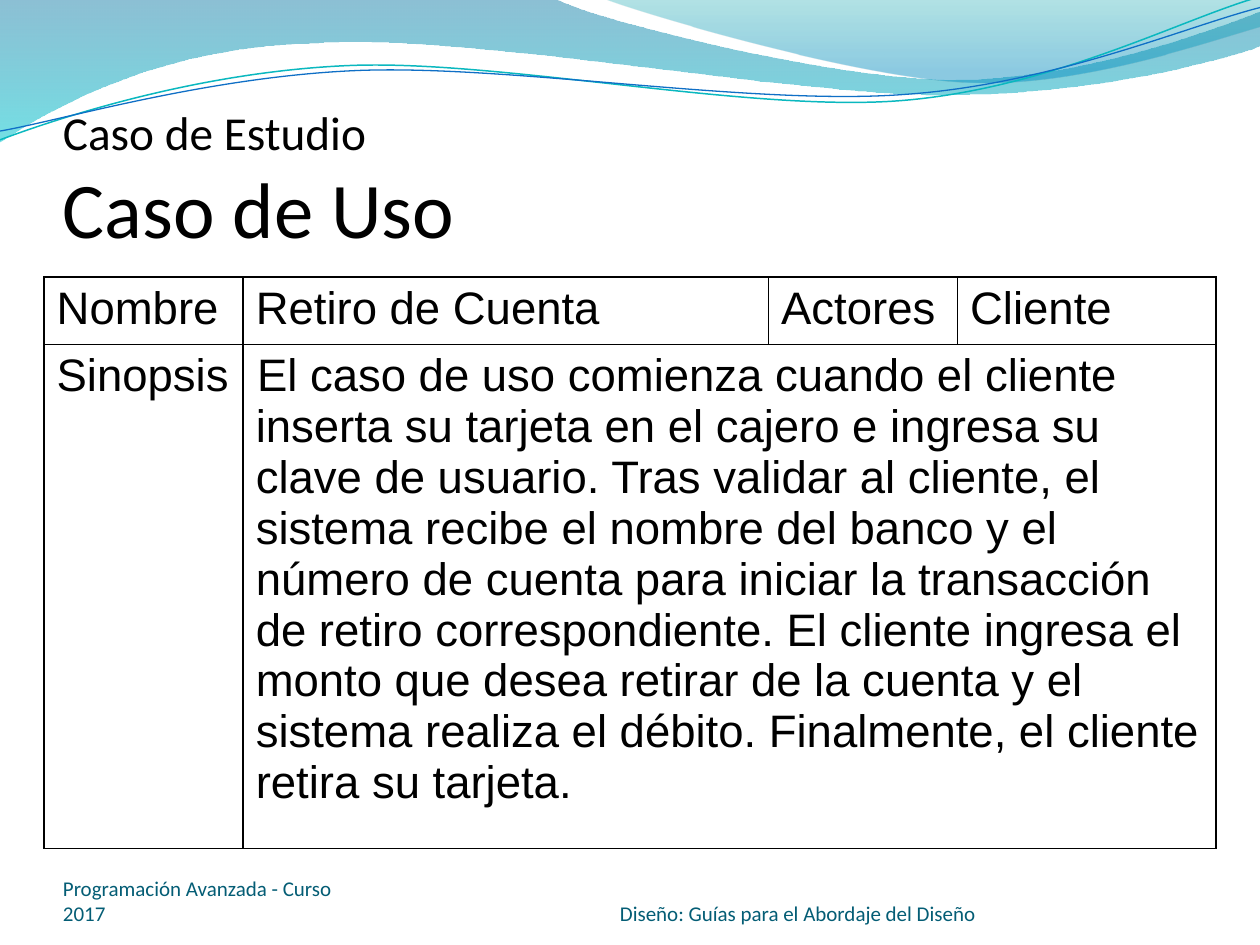
"""Build the use case slide with its wave header and table."""
from math import cos, radians, sin
from lxml.etree import SubElement
from pptx import Presentation
from pptx.dml.color import RGBColor
from pptx.enum.text import MSO_ANCHOR
from pptx.oxml.ns import qn
from pptx.util import Inches, Pt

COLORS = {"text": "000000", "footer": "045D75", "blue": "0F6FC6", "teal": "0AB8BF",
          "wave_top": "0074A1", "wave_end": "00C6CF", "light_top": "00A1A9", "light_end": "008BBF"}


def add_text(p, text, size, font="Calibri", color="text"):
    r = p.add_run()
    r.text = text
    r.font.name, r.font.size = font, Pt(size)
    r.font.color.rgb = RGBColor.from_string(COLORS[color])


def add_outline(kinds, points, closed):
    points = [(Inches(x), Inches(y)) for x, y in points]
    fb = s.shapes.build_freeform(*points[0], scale=1.0)
    fb.add_line_segments(points[1:], close=closed)
    shape = fb.convert_to_shape()
    shape.shadow.inherit = False
    lines = iter(list(shape._element.iter(qn("a:lnTo"))))
    for kind in kinds:
        line = next(lines)
        if kind == "C":
            bezier = line.makeelement(qn("a:cubicBezTo"))
            line.addprevious(bezier)
            for part in (line, next(lines), next(lines)):
                bezier.append(part[0])
                part.getparent().remove(part)
    return shape


prs = Presentation()
prs.slide_width, prs.slide_height = Inches(10), Inches(7.5)
s = prs.slides.add_slide(prs.slide_layouts[6])

waves = [
    ("LCCLCCC",
     [(0, 0), (4.4, -0.01), (4.76, 0.17), (6.64, 0.63), (7.58, 0.63), (8.53, 0.63), (9.58, 0.26),
      (10, 0.09), (10.01, 0.36), (9.83, 0.44), (8.7, 0.76), (7.46, 0.75), (6.22, 0.75), (3.82, 0.28),
      (2.57, 0.34), (1.29, 0.36), (0.46, 0.83), (-0.01, 1.13)],
     [(0, "wave_top", 45), (1, "wave_end", 55)]),
    ("CCL",
     [(4.79, -0.01), (5.09, 0.11), (6.82, 0.62), (7.69, 0.65), (8.56, 0.69), (9.61, 0.32),
      (10, 0.21), (10, 0)],
     [(0, "light_top", 30), (0.8, "light_end", 45)]),
]
for kinds, points, stops in waves:
    wave = add_outline(kinds, points, True)
    wave.line.fill.background()
    wave.fill.gradient()
    wave.fill.gradient_angle = 270
    for stop, (position, color, _) in zip(wave.fill.gradient_stops, stops):
        stop.position = position
        stop.color.rgb = RGBColor.from_string(COLORS[color])
    for clr, (_, _, opacity) in zip(wave._element.spPr.iter(qn("a:srgbClr")), stops):
        SubElement(clr, qn("a:alpha"), val=str(opacity * 1000))

curves = [
    ([(0, 1.11), (0.48, 0.93), (1.58, 0.57), (2.77, 0.52), (3.95, 0.47), (5.93, 0.89), (7.13, 0.8),
      (8.33, 0.71), (9.38, 0.15), (9.98, -0.02)], "teal", 0.85),
    ([(0, 1.04), (0.47, 0.96), (1.64, 0.61), (2.83, 0.56), (4.03, 0.51), (5.97, 0.84), (7.17, 0.75),
      (8.36, 0.67), (9.41, 0.21), (10, 0.06)], "blue", 0.75),
]
tilt, cx, cy = radians(2.7), 4.99, 0.58
for points, color, width in curves:
    level = [(cx + (x - cx) * cos(tilt) - (y - cy) * sin(tilt),
              cy + (x - cx) * sin(tilt) + (y - cy) * cos(tilt)) for x, y in points]
    curve = add_outline("CCC", level, False)
    curve.rotation = 357.3
    curve.fill.background()
    curve.line.color.rgb = RGBColor.from_string(COLORS[color])
    curve.line.width = Pt(width)

boxes = [
    ((0.5, 0.77, 9, 1.25), [("Caso de Estudio", 27), ("Caso de Uso", 45)], "text", 0.05),
    ((0.5, 6.95, 2.33, 0.4), [("Programación Avanzada - Curso 2017", 12)], "footer", 0),
    ((4.92, 6.95, 3.67, 0.4), [("Diseño: Guías para el Abordaje del Diseño", 12)], "footer", 0),
]
for place, lines, color, top in boxes:
    tf = s.shapes.add_textbox(*map(Inches, place)).text_frame
    tf.word_wrap = True
    tf.vertical_anchor = MSO_ANCHOR.BOTTOM
    tf.margin_left = tf.margin_right = tf.margin_bottom = 0
    tf.margin_top = Inches(top)
    p = tf.paragraphs[0]
    for i, (text, size) in enumerate(lines):
        if i:
            p.add_line_break()
        add_text(p, text, size, color=color)

synopsis = (
    "El caso de uso comienza cuando el cliente inserta su tarjeta en el cajero e ingresa su clave de "
    "usuario. Tras validar al cliente, el sistema recibe el nombre del banco y el número de cuenta para "
    "iniciar la transacción de retiro correspondiente. El cliente ingresa el monto que desea retirar de la "
    "cuenta y el sistema realiza el débito. Finalmente, el cliente retira su tarjeta."
)
rows = [["Nombre", "Retiro de Cuenta", "Actores", "Cliente"], ["Sinopsis", synopsis]]
table = s.shapes.add_table(2, 4, Inches(0.35), Inches(2.2), Inches(9.3), Inches(4.53)).table
table.first_row = table.horz_banding = False
for col, width in zip(table.columns, (1.58, 4.17, 1.5, 2.05)):
    col.width = Inches(width)
for row, height in zip(table.rows, (0.53, 4)):
    row.height = Inches(height)
table.cell(1, 1).merge(table.cell(1, 3))
for cell in table.iter_cells():
    tcPr = cell._tc.get_or_add_tcPr()
    for side in ("lnL", "lnR", "lnT", "lnB"):
        ln = SubElement(tcPr, qn(f"a:{side}"), w=str(Pt(1)))
        SubElement(SubElement(ln, qn("a:solidFill")), qn("a:srgbClr"), val=COLORS["text"])
    cell.fill.background()
for i, texts in enumerate(rows):
    for j, text in enumerate(texts):
        cell = table.cell(i, j)
        cell.margin_left = cell.margin_right = Inches(0.1)
        cell.margin_top = cell.margin_bottom = Inches(0.05)
        add_text(cell.text_frame.paragraphs[0], text, 26, font="Arial")
pPr = table.cell(1, 1).text_frame.paragraphs[0]._p.get_or_add_pPr()
pPr.set("marL", "0")
pPr.set("indent", str(Inches(0.01)))

prs.save("out.pptx")
